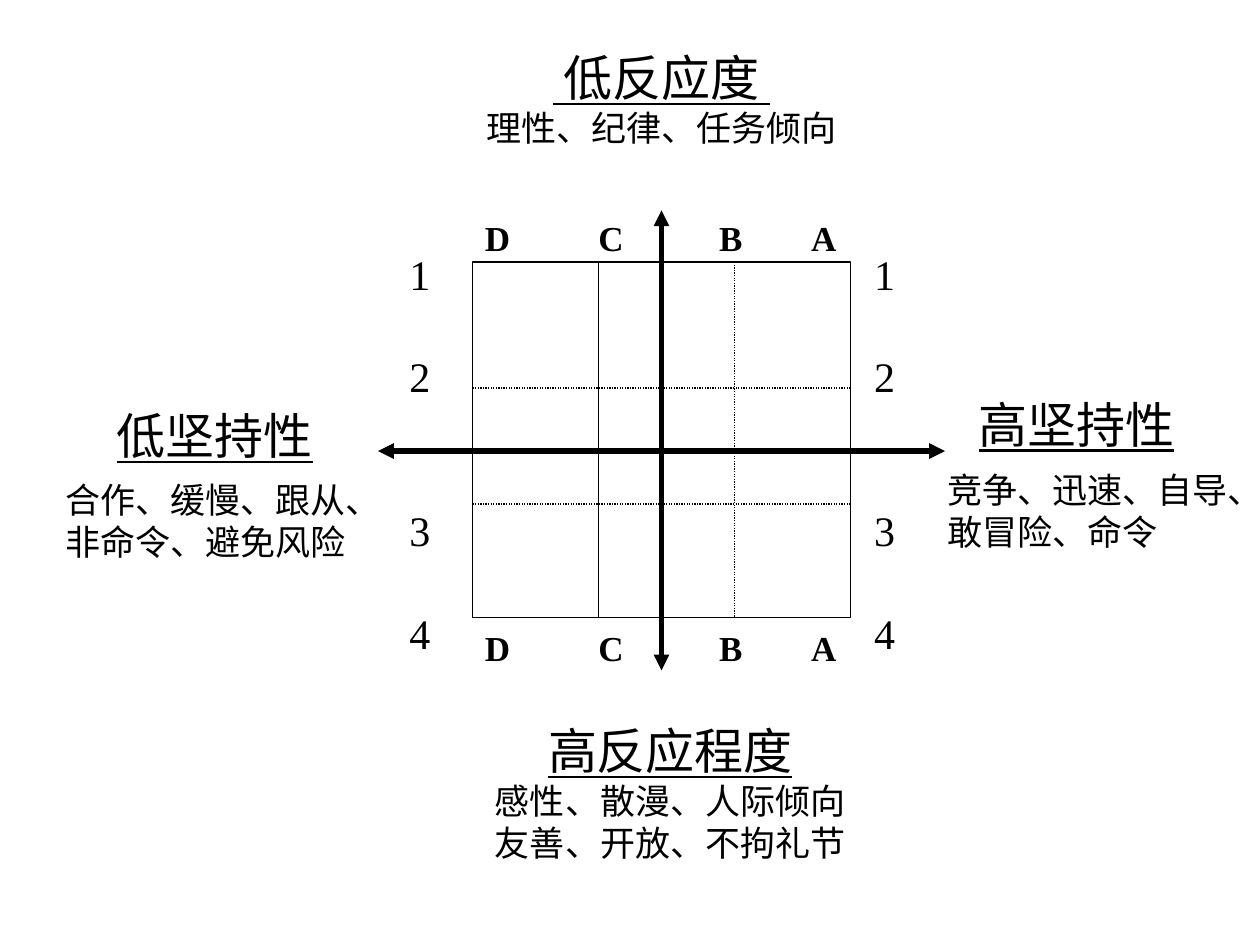
from lxml import etree
from pptx import Presentation
from pptx.dml.color import RGBColor
from pptx.enum import dml, shapes, text
from pptx.oxml.ns import qn
from pptx.util import Inches, Pt

LATIN, CHINESE = "Times New Roman", "Noto Sans CJK SC"
BLACK, WHITE = "000000", "FFFFFF"
HEADING = {"size": Pt(28), "underline": True}
BODY = {"size": Pt(20)}
NUMBER = {"size": Pt(24)}
LETTER = {"size": Pt(20), "bold": True}


def color(value):
    return RGBColor.from_string(value)


def add_line(slide, start, end, width, dash=None, arrows=False):
    line = slide.shapes.add_connector(
        shapes.MSO_CONNECTOR.STRAIGHT, *map(Inches, start + end))
    line.line.color.rgb = color(BLACK)
    line.line.width = Pt(width)
    if dash is not None:
        line.line.dash_style = dash
    if arrows:
        outline = line.line._get_or_add_ln()
        for tag in ("a:headEnd", "a:tailEnd"):
            etree.SubElement(outline, qn(tag), type="triangle")
    etree.SubElement(line._element.spPr, qn("a:effectLst"))


def add_text(slide, box, lines, align=text.PP_ALIGN.LEFT, wrap=True, gaps=()):
    """Write (wording, format) lines; gaps are points before each later line."""
    frame = slide.shapes.add_textbox(*map(Inches, box)).text_frame
    frame.word_wrap = wrap
    frame.auto_size = text.MSO_AUTO_SIZE.SHAPE_TO_FIT_TEXT
    for index, (wording, values) in enumerate(lines):
        paragraph = frame.add_paragraph() if index else frame.paragraphs[0]
        paragraph.alignment = align
        if index and gaps:
            paragraph.space_before = Pt(gaps[index - 1])
        run = paragraph.add_run()
        run.text = wording
        for name, value in ({"name": LATIN} | values).items():
            setattr(run.font, name, value)
        run.font.color.rgb = color(BLACK)
        latin = run._r.rPr.find(qn("a:latin"))
        latin.addnext(etree.Element(qn("a:ea"), typeface=CHINESE))
    return frame


def add_grid(slide, left, top, width, height):
    grid = slide.shapes.add_shape(
        shapes.MSO_SHAPE.RECTANGLE, *map(Inches, (left, top, width, height)))
    grid.shadow.inherit = False
    grid.fill.solid()
    grid.fill.fore_color.rgb = color(WHITE)
    grid.line.color.rgb = color(BLACK)
    grid.line.width = Pt(0.75)

    right, bottom = left + width, top + height
    center, middle = left + width / 2, top + 1.5
    add_line(slide, (center, top - 0.41), (center, bottom + 0.42), 3, arrows=True)
    add_line(slide, (left - 0.75, middle), (right + 0.75, middle), 3, arrows=True)

    dotted = dml.MSO_LINE.ROUND_DOT
    for x, line_width, dash in ((left + 1, 0.25, None), (left + 2.08, 0.75, dotted)):
        add_line(slide, (x, top), (x, bottom), line_width, dash)
    for y in (top + 1, top + 1.92):
        add_line(slide, (left, y), (right, y), 0.75, dotted)


def add_column_letters(slide, box):
    frame = add_text(slide, box, [("D\tC\tB\tA", LETTER)])
    properties = frame.paragraphs[0]._p.get_or_add_pPr()
    tabs = etree.SubElement(properties, qn("a:tabLst"))
    for position in (0.9, 1.86, 2.59):
        etree.SubElement(tabs, qn("a:tab"), pos=str(Inches(position)), algn="l")


def add_row_numbers(slide, box):
    add_text(slide, box, [(number, NUMBER) for number in "1234"],
             wrap=False, gaps=(30, 59, 30))


def add_vertical_pole(slide, box, heading, details, wrap):
    lines = [(heading, HEADING)] + [(detail, BODY) for detail in details]
    add_text(slide, box, lines, text.PP_ALIGN.CENTER, wrap)


def add_side_pole(slide, heading_box, heading, detail_box, details):
    add_text(slide, heading_box, [(heading, HEADING)])
    add_text(slide, detail_box,
             [(detail, BODY | {"name": CHINESE}) for detail in details])


def main():
    presentation = Presentation()
    presentation.slide_width, presentation.slide_height = Inches(10), Inches(7.5)
    slide = presentation.slides.add_slide(presentation.slide_layouts[6])

    add_grid(slide, 3.75, 2.08, 3, 2.82)
    add_vertical_pole(slide, (0.5, 0.33, 9.5, 1.24), " 低反应度 ",
                      ["理性、纪律、任务倾向"], True)
    add_vertical_pole(slide, (3.83, 5.67, 2.98, 1.3), "高反应程度",
                      ["感性、散漫、人际倾向", "友善、开放、不拘礼节"], False)
    for top in (1.67, 4.92):
        add_column_letters(slide, (3.75, top, 3, 0.44))
    for left in (3.15, 6.84):
        add_row_numbers(slide, (left, 1.92, 0.36, 3.3))
    add_side_pole(slide, (7.67, 3.08, 2, 0.57), "高坚持性",
                  (7.42, 3.67, 2.58, 0.75), ["竞争、迅速、自导、敢冒险、命令"])
    add_side_pole(slide, (0.83, 3.17, 2, 0.57), "低坚持性",
                  (0.42, 3.75, 2.58, 0.77), ["合作、缓慢、跟从、", "非命令、避免风险"])

    presentation.save("out.pptx")


if __name__ == "__main__":
    main()
